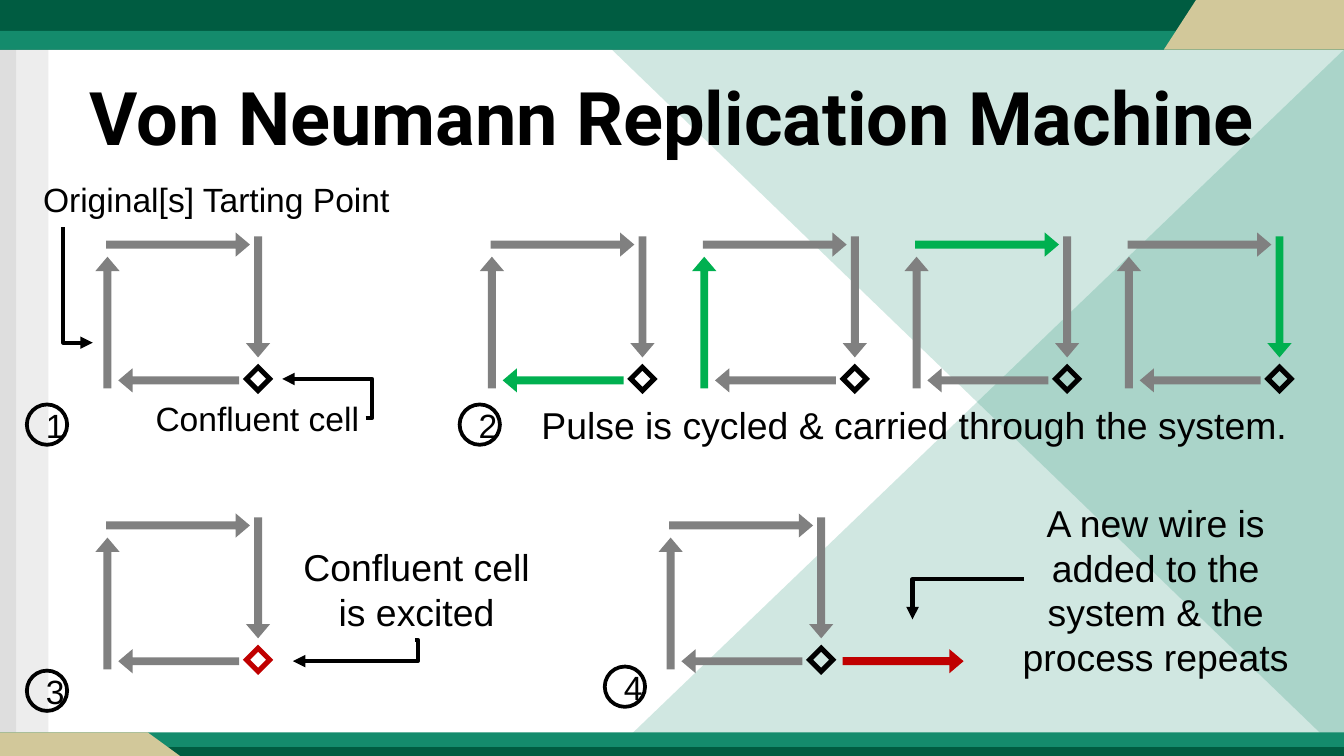
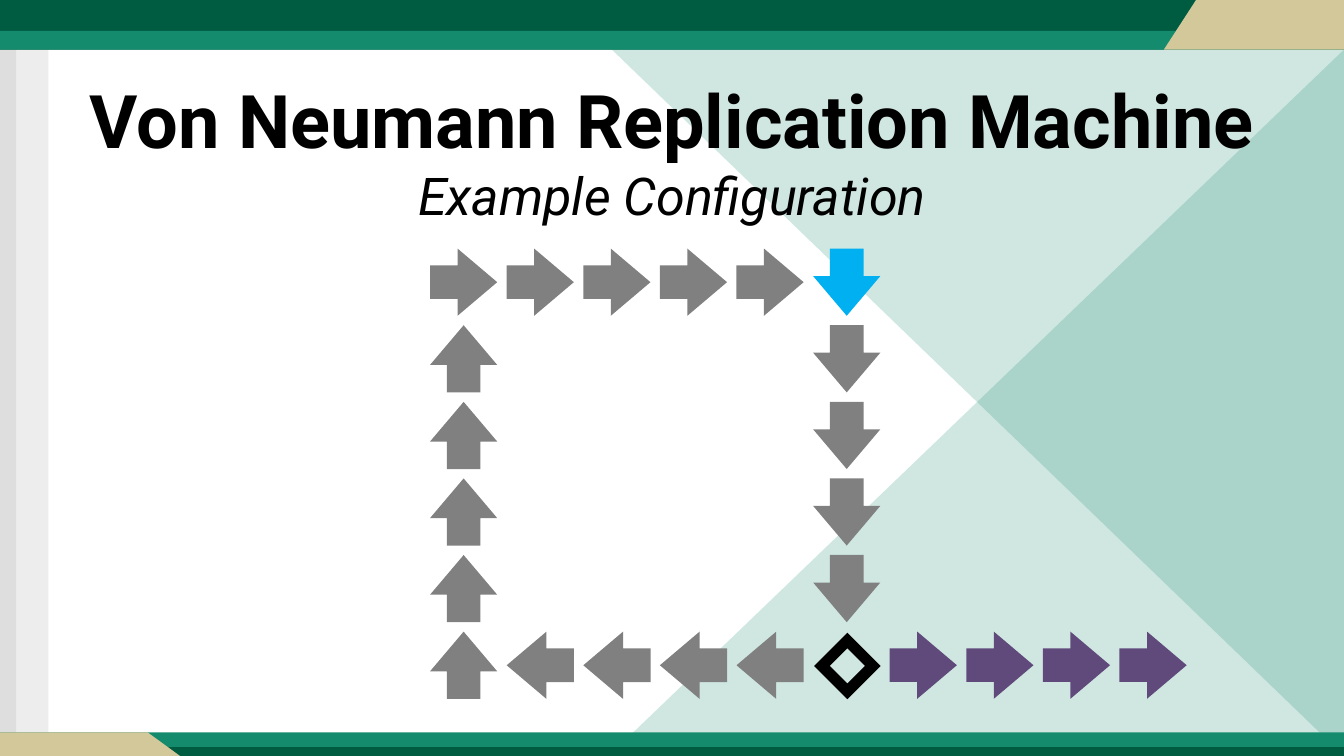
from dataclasses import dataclass
from typing import NamedTuple, Optional

from lxml.etree import SubElement
from pptx import Presentation
from pptx.dml.color import RGBColor
from pptx.enum.shapes import MSO_CONNECTOR, MSO_SHAPE
from pptx.enum.text import MSO_ANCHOR, MSO_AUTO_SIZE, PP_ALIGN
from pptx.oxml.ns import qn
from pptx.util import Inches, Pt

WIDTH = 10
HEIGHT = WIDTH * 9 / 16
BLACK, GRAY, RED = "000000", "808080", "C00000"
GREEN, BLUE, PURPLE = "00B050", "00B0F0", "604A7B"
DARK_BAND, LIGHT_BAND, TAN, SIDE_GRAY = "005C41", "148B6C", "D2C89A", "A6A6A6"
RIGHT, DOWN, LEFT, UP = 0, 90, 180, 270
TITLE = "Von Neumann Replication Machine"
TITLE_FORMAT = {"name": "Roboto", "size": Pt(39.6), "bold": True, "italic": False}
SUBTITLE_FORMAT = {"name": "Roboto", "size": Pt(27.9), "bold": False, "italic": True}


class Box(NamedTuple):
    left: float
    top: float
    width: float
    height: float


@dataclass
class Panel:
    box: Box
    color: str
    kind: MSO_SHAPE = MSO_SHAPE.RECTANGLE
    alpha: int = 100
    flips: tuple = ()


@dataclass
class Loop:
    left: float
    top: float
    active: Optional[str] = None
    active_color: str = GREEN
    cell_color: str = BLACK


class Label(NamedTuple):
    text: str
    box: Box
    size: int = 20
    wrap: bool = True


class Pointer(NamedTuple):
    start: tuple
    end: tuple
    bend: float
    rotation: int = 0


class Badge(NamedTuple):
    text: str
    left: float
    top: float


class ArrowRun(NamedTuple):
    column: int
    row: int
    columns: int
    rows: int
    direction: int
    color: str = GRAY


PANELS = [
    Panel(Box(0, 0.06, 0.36, 5.56), SIDE_GRAY, alpha=20),
    Panel(Box(0, 0.06, 0.12, 5.56), SIDE_GRAY, alpha=20),
    Panel(Box(4.53, 0.37, 5.47, HEIGHT - 0.37), LIGHT_BAND,
          MSO_SHAPE.ISOSCELES_TRIANGLE, 20, ("flipH",)),
    Panel(Box(4.17, 0, 5.83, HEIGHT), LIGHT_BAND,
          MSO_SHAPE.ISOSCELES_TRIANGLE, 20, ("flipH", "flipV")),
    Panel(Box(0, 0, WIDTH, 0.37), DARK_BAND),
    Panel(Box(0, 0.23, WIDTH, 0.14), LIGHT_BAND),
    Panel(Box(0, 5.45, WIDTH, HEIGHT - 5.45), LIGHT_BAND),
    Panel(Box(0, 5.56, WIDTH, HEIGHT - 5.56), DARK_BAND),
]
CORNERS = [
    [(8.9, 0), (8.66, 0.37), (WIDTH, 0.37), (WIDTH, 0)],
    [(1.1, 5.45), (1.34, HEIGHT), (0, HEIGHT), (0, 5.45)],
]

# Loop parts: offset from the loop's corner, length and direction
LOOP_ARROWS = {
    "top": (0, 0, 1.07, RIGHT),
    "right": (0.68, 0.39, 0.9, DOWN),
    "bottom": (0.09, 1.01, 0.9, LEFT),
    "left": (-0.48, 0.58, 0.98, UP),
    "new wire": (1.29, 1.01, 0.9, RIGHT),
}
LOOPS = [
    Loop(0.79, 1.73),
    *(Loop(3.65 + 1.58 * step, 1.73, side)
      for step, side in enumerate(("bottom", "left", "top", "right"))),
    Loop(0.79, 3.82, cell_color=RED),
    Loop(4.98, 3.82, "new wire", RED),
]
LABELS = [
    Label("Original[s] Tarting Point", Box(0.2, 1.28, 2.82, 0.4), 18, False),
    Label("Confluent cell", Box(1.05, 2.91, 1.73, 0.4), 18, False),
    Label("Pulse is cycled & carried through the system.", Box(3.74, 2.94, 6.13, 0.44)),
    Label("Confluent cell is excited", Box(2.11, 4, 1.98, 0.77)),
    Label("A new wire is added to the system & the process repeats",
          Box(7.32, 3.67, 2.56, 1.45)),
]
POINTERS = [
    Pointer((7.62, 4.31), (6.79, 4.61), 1),
    Pointer((3.09, 4.76), (2.18, 4.92), -0.02),
    Pointer((2.72, 3.11), (2.1, 2.82), -0.08),
    Pointer((1.01, 2.01), (0.15, 2.23), 1, 270),
]
BADGES = [Badge("1", 0.2, 3.01), Badge("2", 3.42, 3.01),
          Badge("3", 0.2, 4.99), Badge("4", 4.5, 4.96)]
ARROW_RUNS = [
    ArrowRun(0, 0, 5, 1, RIGHT),
    ArrowRun(5, 0, 1, 1, DOWN, BLUE),
    ArrowRun(5, 1, 1, 4, DOWN),
    ArrowRun(1, 5, 4, 1, LEFT),
    ArrowRun(0, 1, 1, 5, UP),
    ArrowRun(6, 5, 4, 1, RIGHT, PURPLE),
]


def rgb(color: str) -> RGBColor:
    return RGBColor.from_string(color)


def apply_format(target, values: dict) -> None:
    for name, value in values.items():
        setattr(target, name, value)


def paint(shape, color: str) -> None:
    shape.shadow.inherit = False
    shape.fill.solid()
    shape.fill.fore_color.rgb = rgb(color)
    shape.line.fill.background()


def add_filled(shapes, kind: MSO_SHAPE, box: Box, color: str,
               adjustments: tuple = (), rotation: int = 0):
    shape = shapes.add_shape(kind, *map(Inches, box))
    for index, value in enumerate(adjustments):
        shape.adjustments[index] = value
    shape.rotation = rotation
    paint(shape, color)
    return shape


def add_arrow(shapes, box: Box, direction: int, color: str, shaft: float) -> None:
    add_filled(shapes, MSO_SHAPE.RIGHT_ARROW, box, color, (shaft, 0.59), direction)


def add_cell(shapes, left: float, top: float, size: float, color: str) -> None:
    add_filled(shapes, MSO_SHAPE.FRAME, Box(left, top, size, size), color, (0.235,), 45)


def add_run(paragraph, text: str, values: dict) -> None:
    run = paragraph.add_run()
    run.text = text
    apply_format(run.font, values)
    run.font.color.rgb = rgb(BLACK)


def write_centered(shape, text: str, size: int) -> None:
    paragraph = shape.text_frame.paragraphs[0]
    paragraph.alignment = PP_ALIGN.CENTER
    add_run(paragraph, text, {"name": "Arial", "size": Pt(size)})


def decorate_layout(slide, layout) -> None:
    """Build the shared bands in a group and move it behind the layout's placeholders."""
    group = slide.shapes.add_group_shape()
    for panel in PANELS:
        adjustments = (0,) if panel.kind == MSO_SHAPE.ISOSCELES_TRIANGLE else ()
        shape = add_filled(group.shapes, panel.kind, panel.box, panel.color, adjustments)
        for flip in panel.flips:
            shape._element.spPr.find(qn("a:xfrm")).set(flip, "1")
        if panel.alpha < 100:
            color = shape._element.spPr.find(f"{qn('a:solidFill')}/{qn('a:srgbClr')}")
            SubElement(color, qn("a:alpha")).set("val", str(panel.alpha * 1000))
    for points in CORNERS:
        start, *others = [(Inches(x), Inches(y)) for x, y in points]
        builder = group.shapes.build_freeform(*start)
        builder.add_line_segments(others, close=True)
        paint(builder.convert_to_shape(), TAN)
    for number, properties in enumerate(group._element.iter(qn("p:cNvPr")), 100):
        properties.set("id", str(number))
    layout.shapes._spTree.insert(2, group._element)


def set_title(slide, top: float, subtitle: str = "") -> None:
    title = slide.shapes.title
    apply_format(title, {"left": Inches(0.5), "top": Inches(top),
                         "width": Inches(9), "height": Inches(0.94)})
    apply_format(title.text_frame, {"vertical_anchor": MSO_ANCHOR.MIDDLE,
                                    "auto_size": MSO_AUTO_SIZE.NONE, "word_wrap": True})
    paragraph = title.text_frame.paragraphs[0]
    paragraph.alignment = PP_ALIGN.CENTER
    add_run(paragraph, TITLE, TITLE_FORMAT)
    if subtitle:
        paragraph.add_line_break()
        add_run(paragraph, subtitle, SUBTITLE_FORMAT)


def add_loop(slide, loop: Loop) -> None:
    shapes = slide.shapes.add_group_shape().shapes
    for side, (x, y, length, direction) in LOOP_ARROWS.items():
        if side == "new wire" and loop.active != side:
            continue
        color = loop.active_color if side == loop.active else GRAY
        add_arrow(shapes, Box(loop.left + x, loop.top + y, length, 0.18),
                  direction, color, 0.33)
    add_cell(shapes, loop.left + 1.05, loop.top + 1.01, 0.16, loop.cell_color)


def add_label(slide, label: Label) -> None:
    textbox = slide.shapes.add_textbox(*map(Inches, label.box))
    apply_format(textbox.text_frame, {"word_wrap": label.wrap,
                                      "auto_size": MSO_AUTO_SIZE.SHAPE_TO_FIT_TEXT})
    write_centered(textbox, label.text, label.size)


def add_pointer(slide, pointer: Pointer) -> None:
    connector = slide.shapes.add_connector(
        MSO_CONNECTOR.ELBOW, *map(Inches, pointer.start + pointer.end))
    connector.line.color.rgb = rgb(BLACK)
    connector.line.width = Pt(2.25)
    properties = connector._element.spPr
    properties.find(qn("a:xfrm")).set("rot", str(pointer.rotation * 60000))
    guide = SubElement(properties.find(f"{qn('a:prstGeom')}/{qn('a:avLst')}"), qn("a:gd"))
    guide.set("name", "adj1")
    guide.set("fmla", f"val {round(pointer.bend * 100000)}")
    SubElement(properties.find(qn("a:ln")), qn("a:tailEnd")).set("type", "triangle")
    SubElement(properties, qn("a:effectLst"))


def add_badge(slide, badge: Badge) -> None:
    circle = slide.shapes.add_shape(
        MSO_SHAPE.OVAL, *map(Inches, (badge.left, badge.top, 0.3, 0.3)))
    circle.shadow.inherit = False
    circle.fill.background()
    circle.line.color.rgb = rgb(BLACK)
    circle.line.width = Pt(2)
    write_centered(circle, badge.text, 18)


def build_process_slide(slide) -> None:
    set_title(slide, 0.39)
    for draw, items in ((add_loop, LOOPS), (add_label, LABELS),
                        (add_pointer, POINTERS), (add_badge, BADGES)):
        for item in items:
            draw(slide, item)


def build_configuration_slide(slide) -> None:
    set_title(slide, 0.65, "Example Configuration")
    left, top, pitch, size = 3.2, 1.85, 0.57, 0.5
    for run in ARROW_RUNS:
        for column in range(run.column, run.column + run.columns):
            for row in range(run.row, run.row + run.rows):
                box = Box(left + column * pitch, top + row * pitch, size, size)
                add_arrow(slide.shapes, box, run.direction, run.color, 0.5)
    add_cell(slide.shapes, left + 5 * pitch + 0.08, top + 5 * pitch + 0.08, 0.35, BLACK)


def main() -> None:
    presentation = Presentation()
    presentation.slide_width, presentation.slide_height = Inches(WIDTH), Inches(HEIGHT)
    layout = presentation.slide_layouts.get_by_name("Title Only")
    process, configuration = [presentation.slides.add_slide(layout) for _ in range(2)]
    decorate_layout(process, layout)
    build_process_slide(process)
    build_configuration_slide(configuration)
    presentation.save("out.pptx")


if __name__ == "__main__":
    main()
